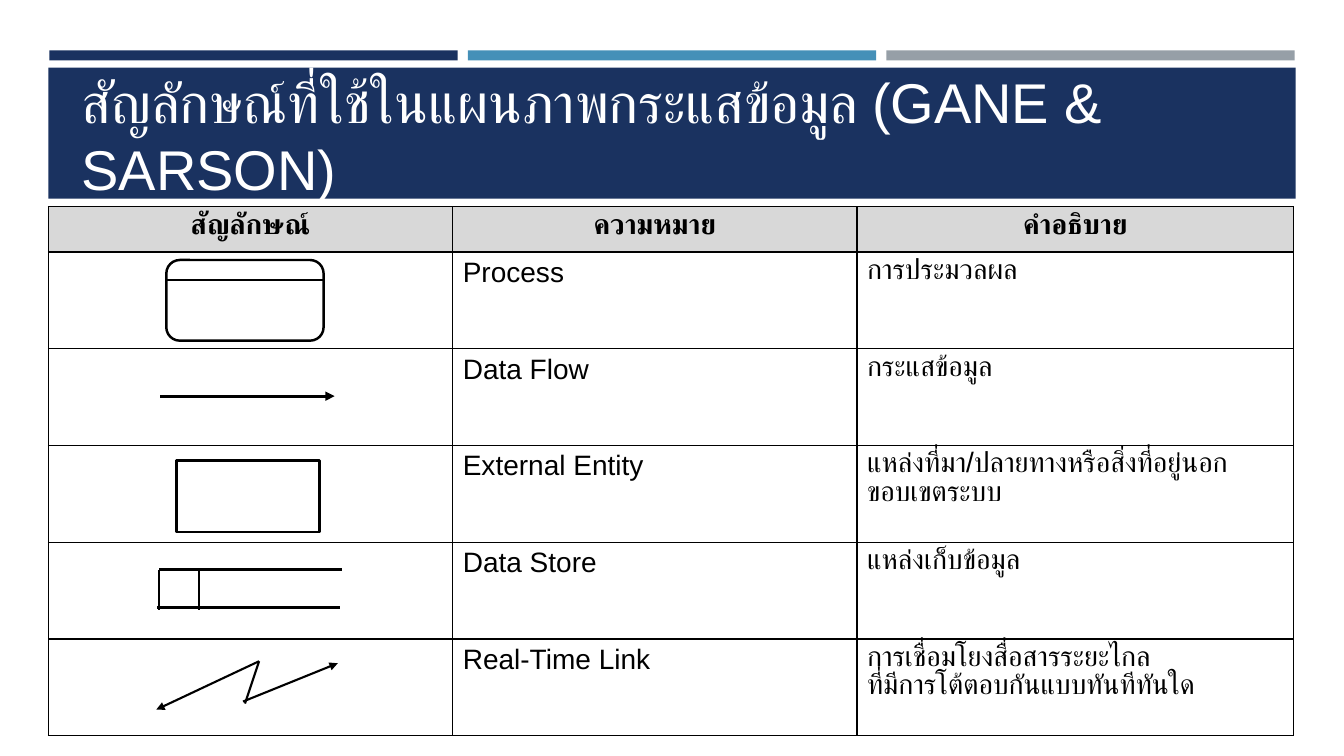
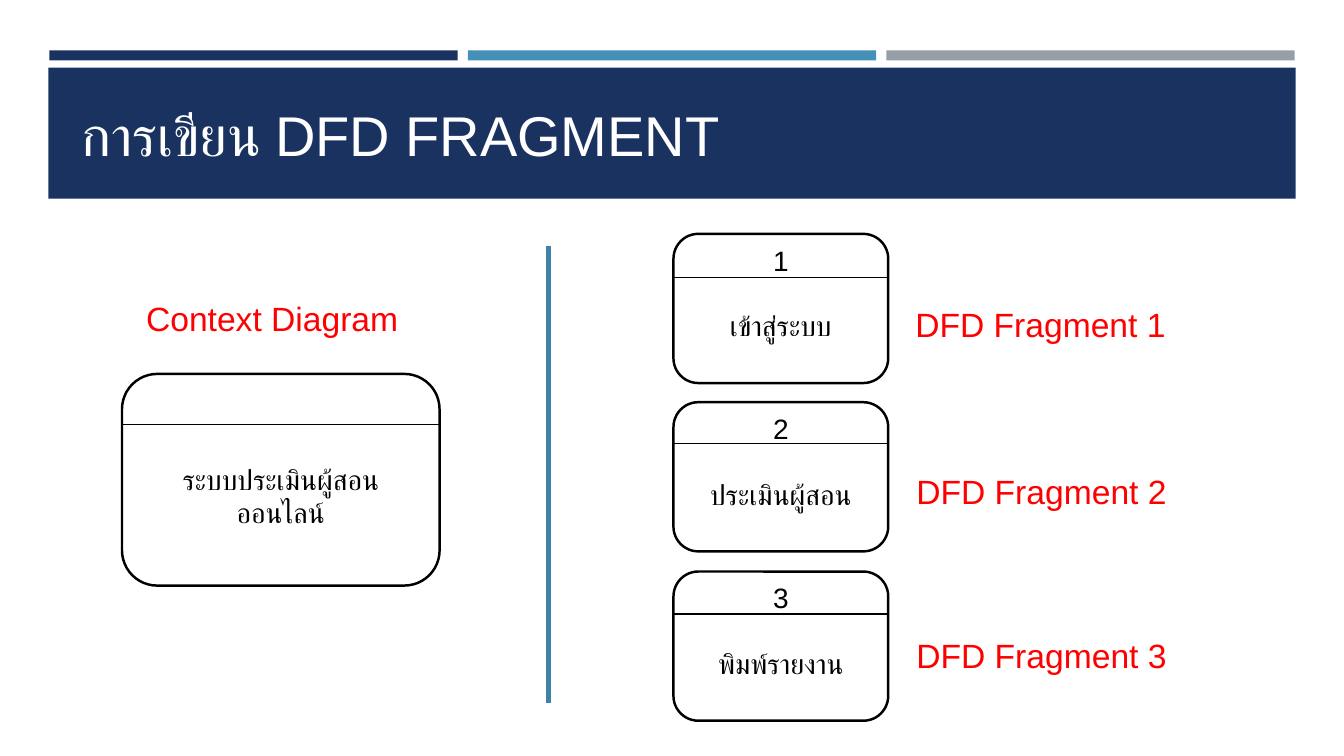
from lxml.etree import SubElement
from pptx import Presentation
from pptx.dml.color import RGBColor
from pptx.enum.shapes import MSO_CONNECTOR as Connector, MSO_SHAPE as Shape
from pptx.enum.text import MSO_ANCHOR as Anchor, MSO_AUTO_SIZE as AutoSize, PP_ALIGN as Align
from pptx.oxml.ns import qn
from pptx.util import Emu, Pt

EMU_PER_PX = 9144  # 100 px to the inch
NAVY, BLUE, GREY, TEAL = "1A3260", "4590B8", "969FA7", "3E82A6"
BLACK, WHITE, RED, HEADER_GREY = "000000", "FFFFFF", "FF0000", "D8D8D8"


def px(length):
    return Emu(length * EMU_PER_PX)


def color(hex_code):
    return RGBColor.from_string(hex_code)


class Painter:
    """Holds the deck, its style and the current slide."""

    font = "Arial"
    title_size, label_size, body_size = 40, 24, 20

    def __init__(self):
        self.deck = Presentation()
        self.deck.slide_width, self.deck.slide_height = px(1333), px(750)
        self.page = None

    def style(self, frame, size, hex_code, align=Align.LEFT, bold=False):
        for para in frame.paragraphs:
            para.alignment = align
            para.font.name, para.font.size = self.font, Pt(size)
            para.font.bold = bold
            para.font.color.rgb = color(hex_code)

    def slide(self, title):
        self.page = self.deck.slides.add_slide(self.deck.slide_layouts[5])
        # Three accent strips above the title band
        for column, fill in enumerate((NAVY, BLUE, GREY)):
            self.shape(Shape.RECTANGLE, 49 + 415 * column, 50, 405, 10, fill)
        # Title band
        band = self.page.shapes.title
        band.left, band.top, band.width, band.height = map(px, (48, 67, 1237, 130))
        band.fill.solid()
        band.fill.fore_color.rgb = color(NAVY)
        frame = band.text_frame
        frame.text = title
        frame.word_wrap, frame.auto_size = True, AutoSize.NONE
        frame.vertical_anchor = Anchor.MIDDLE
        frame.margin_left, frame.margin_right = px(33), px(18)
        frame.margin_top, frame.margin_bottom = px(8), px(5)
        self.style(frame, self.title_size, WHITE)

    def group(self):
        return self.page.shapes.add_group_shape().shapes

    def shape(self, preset, left, top, width, height, fill=WHITE, line=None, into=None):
        shapes = self.page.shapes if into is None else into
        box = shapes.add_shape(preset, px(left), px(top), px(width), px(height))
        box.shadow.inherit = False
        box.fill.solid()
        box.fill.fore_color.rgb = color(fill)
        if line:
            box.line.color.rgb, box.line.width = color(BLACK), Pt(line)
        else:
            box.line.fill.background()
        return box

    def line(self, start, end, weight, hex_code=BLACK, arrow=False, into=None):
        shapes = self.page.shapes if into is None else into
        line = shapes.add_connector(Connector.STRAIGHT, *map(px, start + end))
        line.line.color.rgb, line.line.width = color(hex_code), Pt(weight)
        if arrow:
            SubElement(line.line._get_or_add_ln(), qn("a:tailEnd"), type="triangle")
        SubElement(line._element.spPr, qn("a:effectLst"))

    def process(self, left, top, width, height, divider, weight, text=""):
        """Rounded process symbol whose header is cut off by a divider."""
        parts = self.group()
        box = self.shape(Shape.ROUNDED_RECTANGLE, left, top, width, height, line=1.75, into=parts)
        y = top + divider
        self.line((left, y), (left + width, y), weight, into=parts)
        box.text_frame.text = text
        box.text_frame.word_wrap = True
        self.style(box.text_frame, self.body_size, BLACK, Align.CENTER)
        return box.text_frame

    def label(self, text, left, top):
        box = self.page.shapes.add_textbox(px(left), px(top), px(302), px(50))
        box.text_frame.text = text
        box.text_frame.word_wrap = True
        self.style(box.text_frame, self.label_size, RED)

    def table(self, left, top, widths, heights, rows):
        frame = self.page.shapes.add_table(
            len(rows), len(widths), px(left), px(top), px(sum(widths)), px(sum(heights)))
        grid = frame.table
        for column, width in zip(grid.columns, widths):
            column.width = px(width)
        for index, (row, height) in enumerate(zip(rows, heights)):
            grid.rows[index].height = px(height)
            for place, text in enumerate(row):
                self.cell(grid.cell(index, place), text, header=index == 0)

    def cell(self, cell, text, header):
        for side in ("lnL", "lnR", "lnT", "lnB"):
            border = SubElement(cell._tc.get_or_add_tcPr(), qn("a:" + side), w=str(Pt(1)))
            SubElement(SubElement(border, qn("a:solidFill")), qn("a:srgbClr"), val=BLACK)
        cell.fill.solid()
        cell.fill.fore_color.rgb = color(HEADER_GREY if header else WHITE)
        cell.text = text
        align = Align.CENTER if header else Align.LEFT
        self.style(cell.text_frame, self.body_size, BLACK, align, header)
        if not text.isascii():  # Thai lines are set tight
            for para in cell.text_frame.paragraphs:
                para.line_spacing = Pt(self.body_size)


def symbols_slide(painter):
    painter.slide("สัญลักษณ์ที่ใช้ในแผนภาพกระแสข้อมูล (GANE & SARSON)")
    painter.table(48, 205, (401, 401, 433), (45,) + (96,) * 5, (
        ("สัญลักษณ์", "ความหมาย", "คำอธิบาย"),
        ("", "Process", "การประมวลผล"),
        ("", "Data Flow", "กระแสข้อมูล"),
        ("", "External Entity", "แหล่งที่มา/ปลายทางหรือสิ่งที่อยู่นอกขอบเขตระบบ"),
        ("", "Data Store", "แหล่งเก็บข้อมูล"),
        ("", "Real-Time Link", "การเชื่อมโยงสื่อสารระยะไกล\nที่มีการโต้ตอบกันแบบทันทีทันใด"),
    ))
    # Process, data flow and external entity
    painter.process(165, 258, 156, 80, 20, 1.5)
    painter.line((159, 393), (332, 393), 2.25, arrow=True)
    painter.shape(Shape.RECTANGLE, 175, 457, 142, 71, line=1.75)
    # Data store
    store = painter.group()
    for left, y in ((158, 565), (156, 603)):
        painter.line((left, y), (left + 181, y), 2.25, into=store)
    for x in (158, 197):
        painter.line((x, 565), (x, 605), 1.5, into=store)
    # Real-time link
    link = painter.group()
    painter.line((257, 656), (155, 704), 1.5, arrow=True, into=link)
    painter.line((257, 656), (243, 698), 1.5, into=link)
    painter.line((241, 696), (335, 658), 1.5, arrow=True, into=link)


def fragments_slide(painter):
    painter.slide("การเขียน DFD FRAGMENT")
    # Context diagram
    context = painter.process(121, 371, 315, 210, 50, 1, "ระบบประเมินผู้สอนออนไลน์")
    context.vertical_anchor = Anchor.MIDDLE
    context.margin_top = px(37)
    painter.label("Context Diagram", 135, 291)
    painter.line((544, 244), (544, 697), 3, TEAL)
    # Numbered fragments
    fragments = (
        ("เข้าสู่ระบบ", 232, 43, 898, 297),
        ("ประเมินผู้สอน", 399, 41, 899, 462),
        ("พิมพ์รายงาน", 567, 42, 899, 625),
    )
    for number, (name, top, divider, label_left, label_top) in enumerate(fragments, 1):
        frame = painter.process(668, top, 213, 148, divider, 1, f"{number}\n{name}")
        frame.vertical_anchor = Anchor.TOP
        frame.margin_top = px(2)
        frame.paragraphs[1].space_before = Pt(23)
        painter.label(f"DFD Fragment {number}", label_left, label_top)


def main():
    painter = Painter()
    symbols_slide(painter)
    fragments_slide(painter)
    painter.deck.save("out.pptx")


if __name__ == "__main__":
    main()
